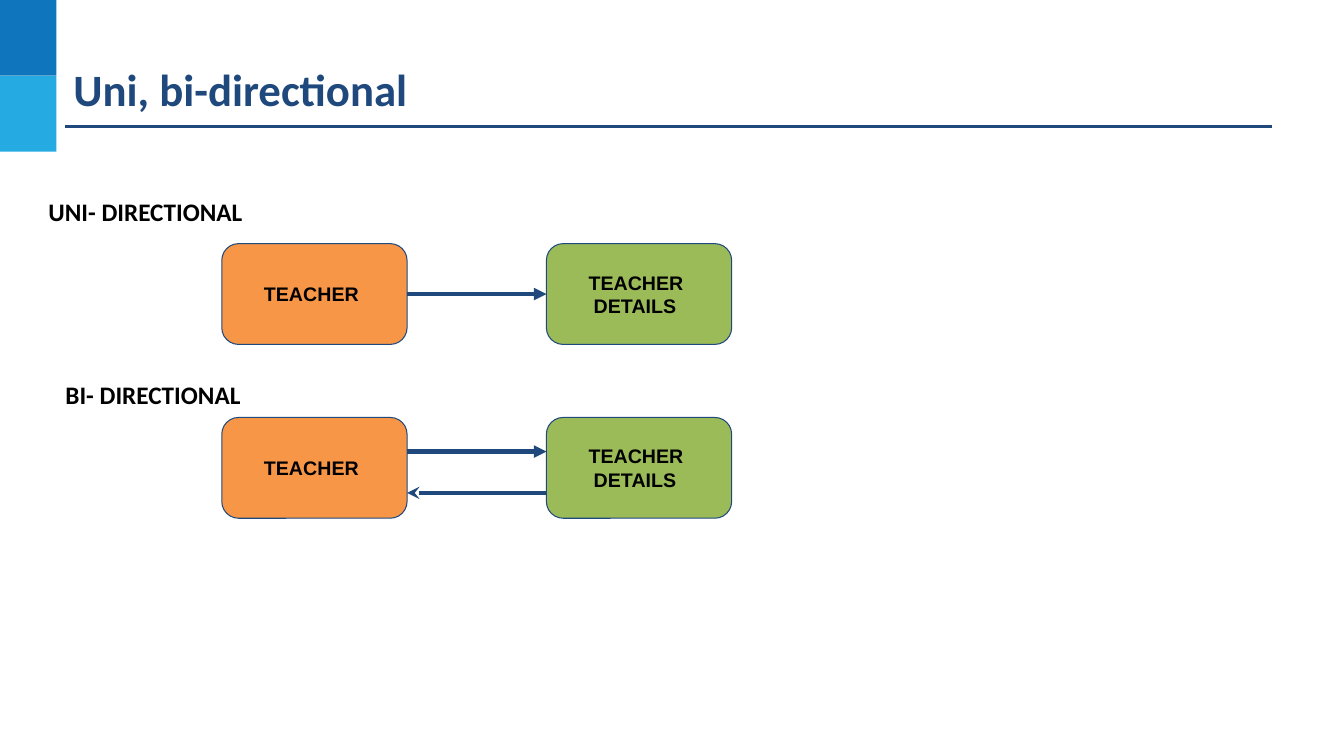
from dataclasses import dataclass

from lxml import etree
from pptx import Presentation
from pptx import util as u
from pptx.dml.color import RGBColor
from pptx.enum import shapes, text
from pptx.oxml.ns import qn

Cm, Pt = u.Cm, u.Pt


@dataclass(frozen=True)
class Theme:
    navy: str = "1F497D"
    blue: str = "0F75BD"
    sky: str = "25AAE2"
    orange: str = "F79646"
    green: str = "9BBB59"
    black: str = "000000"
    heading_font: str = "Calibri"
    box_font: str = "Arial"
    title_size: int = 32
    label_size: int = 18
    box_size: int = 14


THEME = Theme()
TITLE = "Uni, bi-directional"
ENTITIES = [
    {"left": 5.59, "fill": THEME.orange, "lines": [("TEACHER", 0.69)]},
    {"left": 13.77, "fill": THEME.green, "lines": [("TEACHER", 0.69), ("DETAILS", 0.82)]},
]
RELATIONS = [
    {"label": "UNI- DIRECTIONAL", "label_at": (0.97, 4.7, 28.5, 2.06), "top": 6.14,
     "arrows": [(None, "tailEnd", "triangle")]},
    {"label": "BI- DIRECTIONAL", "label_at": (1.4, 9.32, 8.33, 2.06), "top": 10.52,
     "arrows": [(0.86, "tailEnd", "triangle"), (1.9, "headEnd", "stealth")]},
]
BOX_WIDTH, BOX_HEIGHT = 4.67, 2.54
INSET = 0.25
BAND_WIDTH, BAND_HEIGHT = 1.42, 1.91


def color(value):
    return RGBColor.from_string(value)


def set_font(para, name, size, value):
    para.font.name, para.font.size, para.font.bold = name, Pt(size), True
    para.font.color.rgb = color(value)


def set_frame(frame, vertical_inset, anchor):
    frame.word_wrap = True
    frame.auto_size = text.MSO_AUTO_SIZE.NONE
    frame.vertical_anchor = anchor
    frame.margin_left = frame.margin_right = Cm(INSET)
    frame.margin_top = frame.margin_bottom = Cm(vertical_inset)


def add_title(page):
    box = page.shapes.title
    box.left, box.top, box.width, box.height = map(Cm, (1.6, 1.42, 28.5, 1.63))
    set_frame(box.text_frame, 0.13, text.MSO_ANCHOR.MIDDLE)
    para = box.text_frame.paragraphs[0]
    para.text, para.alignment = TITLE, text.PP_ALIGN.LEFT
    set_font(para, THEME.heading_font, THEME.title_size, THEME.navy)


def add_label(page, words, place):
    frame = page.shapes.add_textbox(*map(Cm, place)).text_frame
    set_frame(frame, INSET, text.MSO_ANCHOR.TOP)
    frame.text = words
    set_font(frame.paragraphs[0], THEME.heading_font, THEME.label_size, THEME.black)


def add_filled(page, kind, place, fill):
    shape = page.shapes.add_shape(kind, *map(Cm, place))
    shape.shadow.inherit = False
    shape.fill.solid()
    shape.fill.fore_color.rgb = color(fill)
    shape.line.fill.background()
    return shape


def add_entity(page, entity, top):
    box = add_filled(page, shapes.MSO_SHAPE.ROUNDED_RECTANGLE,
                     (entity["left"], top, BOX_WIDTH, BOX_HEIGHT), entity["fill"])
    box.line.color.rgb, box.line.width = color(THEME.navy), Pt(0.75)
    frame = box.text_frame
    set_frame(frame, INSET, text.MSO_ANCHOR.MIDDLE)
    frame.text = "\n".join(words for words, indent in entity["lines"])
    for para, (words, indent) in zip(frame.paragraphs, entity["lines"]):
        para.alignment = text.PP_ALIGN.LEFT
        para._p.get_or_add_pPr().set("marL", str(Cm(indent)))
        set_font(para, THEME.box_font, THEME.box_size, THEME.black)
    return box


def add_line(page, left, right, y, width):
    line = page.shapes.add_connector(shapes.MSO_CONNECTOR.STRAIGHT,
                                     Cm(left), Cm(y), Cm(right), Cm(y))
    line.line.color.rgb, line.line.width = color(THEME.navy), Pt(width)
    etree.SubElement(line._element.spPr, qn("a:effectLst"))
    return line


def add_relation(page, relation):
    add_label(page, relation["label"], relation["label_at"])
    source, target = [add_entity(page, entity, relation["top"]) for entity in ENTITIES]
    start, stop = ENTITIES[0]["left"] + BOX_WIDTH, ENTITIES[1]["left"]
    for offset, end, head in relation["arrows"]:
        drop = BOX_HEIGHT / 2 if offset is None else offset
        arrow = add_line(page, start, stop, relation["top"] + drop, 3)
        etree.SubElement(arrow.line._get_or_add_ln(), qn(f"a:{end}"), type=head)
        if offset is None:
            arrow.begin_connect(source, 3)
            arrow.end_connect(target, 1)


def main():
    """Build the slide on one- and two-way relations."""
    deck = Presentation()
    deck.slide_width, deck.slide_height = Cm(33.87), Cm(19.05)
    page = deck.slides.add_slide(deck.slide_layouts[5])
    for row, fill in enumerate((THEME.blue, THEME.sky)):
        add_filled(page, shapes.MSO_SHAPE.RECTANGLE,
                   (0, row * BAND_HEIGHT, BAND_WIDTH, BAND_HEIGHT), fill)
    add_title(page)
    add_line(page, 1.63, 32.05, 3.18, 2.25)
    for relation in RELATIONS:
        add_relation(page, relation)
    deck.save("out.pptx")


if __name__ == "__main__":
    main()
